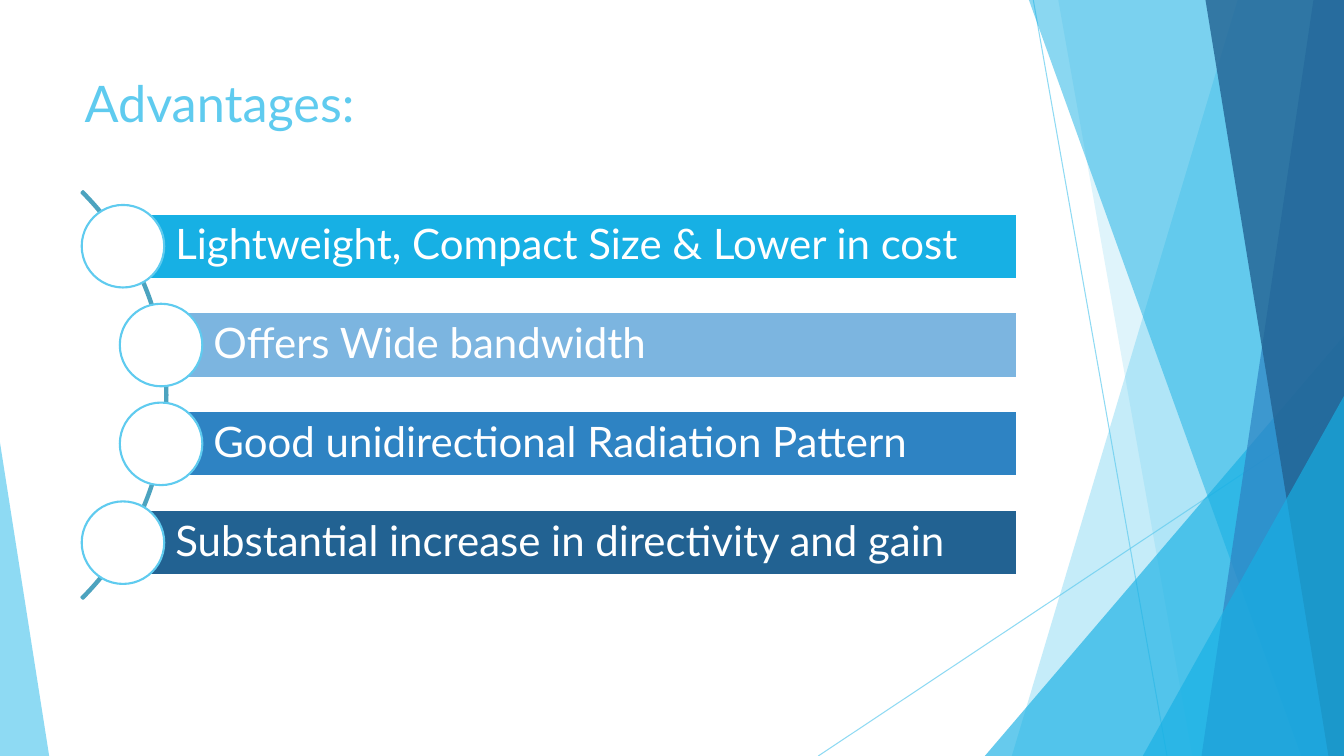
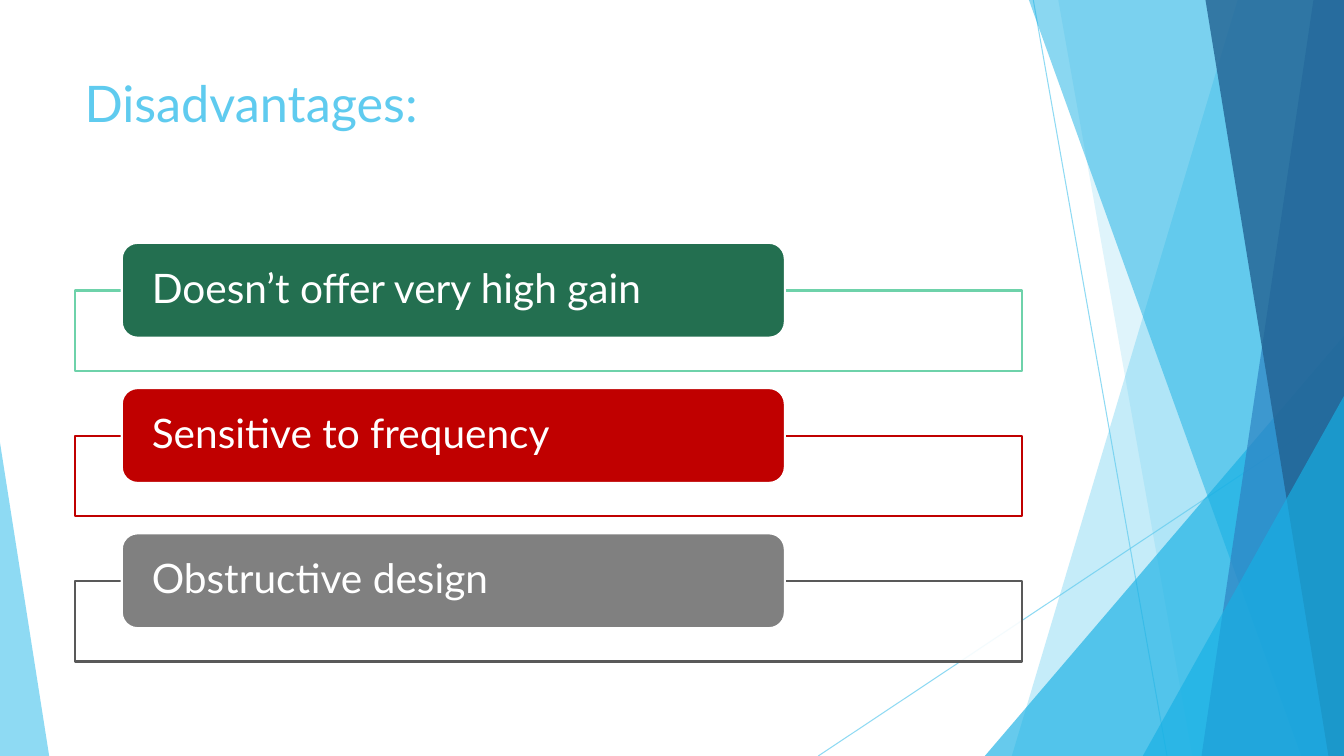
"""Build two slides on the advantages and disadvantages of an antenna."""
from lxml.etree import SubElement
from pptx import Presentation
from pptx.dml.color import RGBColor
from pptx.enum.shapes import MSO_CONNECTOR, MSO_SHAPE
from pptx.enum.text import MSO_ANCHOR, MSO_AUTO_SIZE, PP_ALIGN
from pptx.oxml.ns import qn
from pptx.util import Cm, Pt

FONT = "Lato"
WHITE = RGBColor(0xFF, 0xFF, 0xFF)
SKY = RGBColor(0x5F, 0xCB, 0xEF)
CYAN = RGBColor(0x17, 0xB0, 0xE4)
PALE_BLUE = RGBColor(0x7C, 0xB5, 0xE0)
BLUE = RGBColor(0x2E, 0x83, 0xC3)
NAVY = RGBColor(0x22, 0x62, 0x92)
TEAL = RGBColor(0x4C, 0xA3, 0xBF)
MINT = RGBColor(0x6E, 0xD2, 0xAA)
GREEN = RGBColor(0x23, 0x6F, 0x50)
RED = RGBColor(0xC0, 0x00, 0x00)
GREY = RGBColor(0x80, 0x80, 0x80)
DARK_GREY = RGBColor(0x59, 0x59, 0x59)
WIDTH, HEIGHT = 33.87, 19.05


def write(sp, text, size=30, color=WHITE, left=0.25, right=0.25, spacing=0.9):
    tf = sp.text_frame
    tf.word_wrap = True
    tf.margin_left, tf.margin_right = Cm(left), Cm(right)
    p = tf.paragraphs[0]
    p.alignment = PP_ALIGN.LEFT
    p.line_spacing = spacing
    r = p.add_run()
    r.text = text
    r.font.name = FONT
    r.font.size = Pt(size)
    r.font.color.rgb = color


def paint(sp, fill=None, line=None, width=1.5, alpha=100):
    if fill is not None:
        sp.shadow.inherit = False
        sp.fill.solid()
        sp.fill.fore_color.rgb = fill
    if line is None:
        sp.line.fill.background()
    else:
        sp.line.color.rgb = line
        sp.line.width = Pt(width)
    if alpha < 100:
        clr = sp.element.xpath("./p:spPr//a:srgbClr")[0]
        SubElement(clr, qn("a:alpha")).set("val", str(alpha * 1000))


prs = Presentation()
prs.slide_width, prs.slide_height = Cm(WIDTH), Cm(HEIGHT)
layout = prs.slide_layouts[5]

title = layout.placeholders[0]
title.left, title.top, title.width, title.height = Cm(1.88), Cm(1.7), Cm(23.88), Cm(3.66)
title.text_frame.vertical_anchor = MSO_ANCHOR.TOP
title.text_frame.auto_size = MSO_AUTO_SIZE.NONE

slides = [prs.slides.add_slide(layout) for _ in range(2)]
for s, heading in zip(slides, ("Advantages:", "Disadvantages:")):
    write(s.shapes.title, heading, size=36, color=SKY, spacing=1)

s = slides[0]
decor = []
for x1, y1, x2, y2 in ((26.04, 0, 29.41, HEIGHT), (WIDTH, 10.24, 20.62, HEIGHT)):
    line = s.shapes.add_connector(MSO_CONNECTOR.STRAIGHT, Cm(x1), Cm(y1), Cm(x2), Cm(y2))
    paint(line, line=SKY, width=0.75, alpha=70)
    SubElement(line.element.spPr, qn("a:effectLst"))
    decor.append(line)

facets = (
    ("band", (31.19, 25.5), SKY, 36),
    ("band", (26.67, 30.05), SKY, 20),
    ("triangle", (24.82, 8.46, 9.05, 1), CYAN, 66),
    ("band", (25.93, 32.79), CYAN, 50),
    ("band", (33.1, 30.28), BLUE, 70),
    ("band", (30.38, 33.48), NAVY, 80),
    ("triangle", (28.8, 9.98, 5.07, 1), CYAN, 66),
    ("triangle", (0, 11.15, 1.24, 0), SKY, 70),
)
for kind, place, color, alpha in facets:
    if kind == "band":
        top_x, bottom_x = place
        outline = s.shapes.build_freeform(Cm(top_x), 0)
        outline.add_line_segments(
            [(Cm(WIDTH), 0), (Cm(WIDTH), Cm(HEIGHT)), (Cm(bottom_x), Cm(HEIGHT))])
        sp = outline.convert_to_shape()
    else:
        x, y, w, apex = place
        sp = s.shapes.add_shape(
            MSO_SHAPE.ISOSCELES_TRIANGLE, Cm(x), Cm(y), Cm(w), Cm(HEIGHT - y))
        sp.adjustments[0] = apex
    paint(sp, fill=color, alpha=alpha)
    decor.append(sp)

for number, sp in enumerate(decor, 100):
    sp.element.xpath(".//p:cNvPr")[0].set("id", str(number))
    layout.shapes.element.append(sp.element)

arc = s.shapes.add_shape(MSO_SHAPE.BLOCK_ARC, Cm(-10.31), Cm(2.69), Cm(14.53), Cm(14.53))
for i, value in enumerate((189, 27, 0.004)):
    arc.adjustments[i] = value
paint(arc, line=TEAL)
arc.fill.background()
arc.shadow.inherit = False

BAR_TOP, BAR_STEP, BAR_HEIGHT, BAR_RIGHT, DOT = 5.38, 2.49, 1.65, 25.62, 2.08
bars = (
    ("Lightweight, Compact Size & Lower in cost", 3.1, CYAN),
    ("Offers Wide bandwidth", 4.06, PALE_BLUE),
    ("Good unidirectional Radiation Pattern", 4.06, BLUE),
    ("Substantial increase in directivity and gain", 3.1, NAVY),
)
for i, (text, x, color) in enumerate(bars):
    y = BAR_TOP + i * BAR_STEP
    bar = s.shapes.add_shape(
        MSO_SHAPE.RECTANGLE, Cm(x), Cm(y), Cm(BAR_RIGHT - x), Cm(BAR_HEIGHT))
    paint(bar, fill=color, line=WHITE)
    write(bar, text, left=1.32, right=0.2)
    dot = s.shapes.add_shape(
        MSO_SHAPE.OVAL, Cm(x - DOT / 2), Cm(y + (BAR_HEIGHT - DOT) / 2), Cm(DOT), Cm(DOT))
    paint(dot, fill=WHITE, line=SKY)

s = slides[1]
LABEL_TOP, LABEL_STEP = 6.12, 3.66
labels = (
    ("Doesn’t offer very high gain", GREEN, MINT),
    ("Sensitive to frequency", RED, RED),
    ("Obstructive design", GREY, DARK_GREY),
)
for i, (text, color, edge) in enumerate(labels):
    y = LABEL_TOP + i * LABEL_STEP
    frame = s.shapes.add_shape(
        MSO_SHAPE.RECTANGLE, Cm(1.88), Cm(y + 1.2), Cm(23.88), Cm(2.03))
    paint(frame, fill=WHITE, line=edge, alpha=90)
    label = s.shapes.add_shape(
        MSO_SHAPE.ROUNDED_RECTANGLE, Cm(3.07), Cm(y), Cm(16.71), Cm(2.39))
    paint(label, fill=color, line=WHITE)
    write(label, text, size=29, left=0.64, right=0.64)

prs.save("out.pptx")
